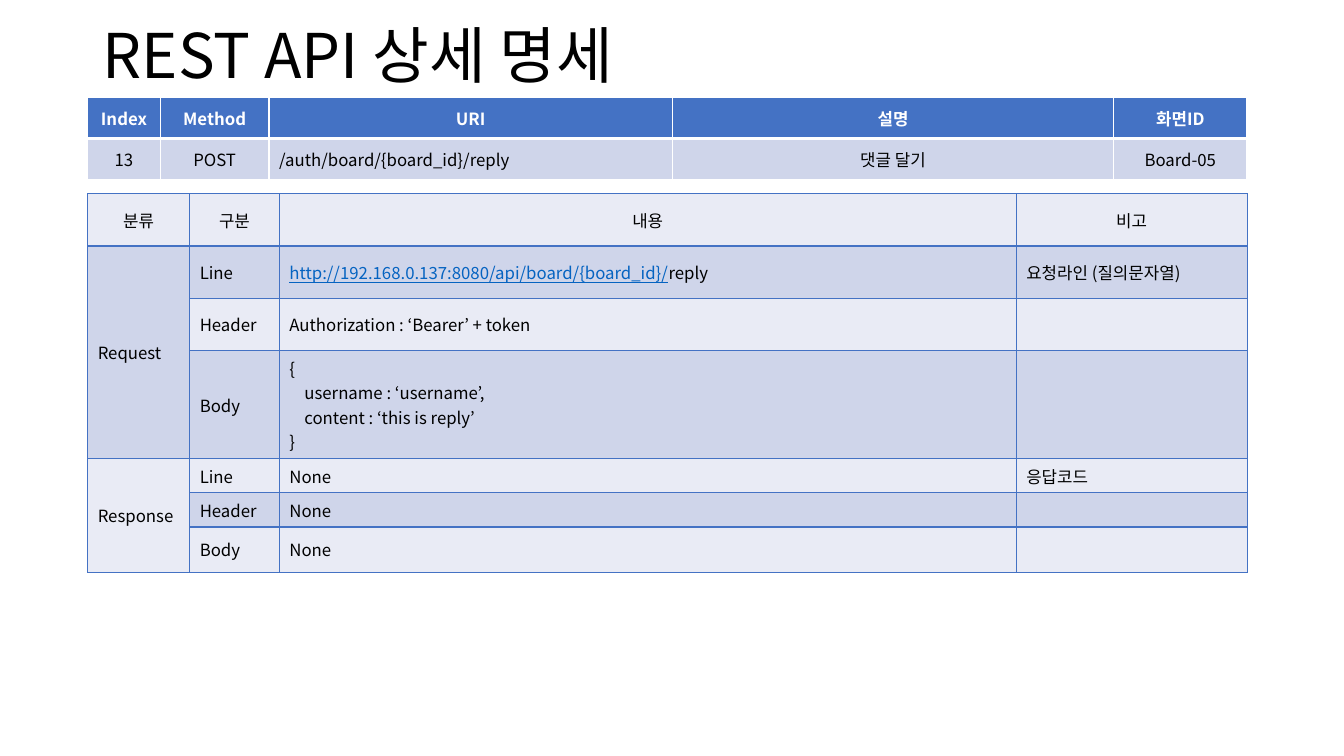
from lxml.etree import SubElement
from pptx import Presentation
from pptx.dml.color import RGBColor
from pptx.enum.text import MSO_ANCHOR, PP_ALIGN
from pptx.oxml.ns import qn
from pptx.util import Cm, Pt

FONT = "Noto Sans CJK KR"
BLACK, WHITE, BLUE, LINK = "000000", "FFFFFF", "4472C4", "0563C1"
DARK_BAND, LIGHT_BAND = "CFD5EA", "E9EBF5"

TITLE = "REST API 상세 명세"
SUMMARY = [
    ["Index", "Method", "URI", "설명", "화면ID"],
    ["13", "POST", "/auth/board/{board_id}/reply", "댓글 달기", "Board-05"],
]
SUMMARY_COLUMNS = [1.83, 2.74, 10.16, 11.13, 3.35]
SUMMARY_ROWS = [1.03, 1.03]

ADDRESS = "http://192.168.0.137:8080/api/board/{board_id}/"
BODY = """{
    username : ‘username’,
    content : ‘this is reply’
}"""
DETAIL = [
    ["분류", "구분", "내용", "비고"],
    ["Request", "Line", ADDRESS + "reply", "요청라인 (질의문자열)"],
    ["", "Header", "Authorization : ‘Bearer’ + token", ""],
    ["", "Body", BODY, ""],
    ["Response", "Line", "None", "응답코드"],
    ["", "Header", "None", ""],
    ["", "Body", "None", ""],
]
DETAIL_COLUMNS = [2.57, 2.26, 18.57, 5.82]
DETAIL_ROWS = [1.32, 1.32, 1.32, 2.72, 0.86, 0.86, 1.14]
DETAIL_GROUPS = [(1, 3), (4, 6)]


def color(value):
    return RGBColor.from_string(value)


def add_span(para, text, size, shade, bold=False, underline=False):
    span = para.add_run()
    span.text = text
    font = span.font
    font.size, font.bold, font.underline = Pt(size), bold, underline
    font.color.rgb = color(shade)
    font.name = FONT
    SubElement(font._element, qn("a:ea"), typeface=FONT)


def set_borders(cell, shade, widths):
    properties = cell._tc.get_or_add_tcPr()
    for side, width in zip("LRTB", widths):
        line = SubElement(properties, qn(f"a:ln{side}"), w=str(Pt(width)))
        SubElement(SubElement(line, qn("a:solidFill")), qn("a:srgbClr"), val=shade)


def write_cell(cell, text, shade, bold, align):
    cell.vertical_anchor = MSO_ANCHOR.MIDDLE
    for index, line in enumerate(text.split("\n")):
        frame = cell.text_frame
        para = frame.add_paragraph() if index else frame.paragraphs[0]
        para.alignment = align
        if line.startswith(ADDRESS):
            add_span(para, ADDRESS, 12, LINK, underline=True)
            line = line.removeprefix(ADDRESS)
        if line:
            add_span(para, line, 12, shade, bold)
        else:
            SubElement(para._p, qn("a:endParaRPr"), sz="1200")


def add_grid(page, top, content, columns, rows, style):
    table = page.shapes.add_table(
        len(rows), len(columns), Cm(2.21), Cm(top), Cm(sum(columns)), Cm(sum(rows))
    ).table
    table.first_row = table.horz_banding = False
    for column, width in zip(table.columns, columns):
        column.width = Cm(width)
    for row, height in zip(table.rows, rows):
        row.height = Cm(height)
    for r, texts in enumerate(content):
        for c, text in enumerate(texts):
            cell = table.cell(r, c)
            fill, shade, bold, align, border, widths = style(r, c)
            write_cell(cell, text, shade, bold, align)
            set_borders(cell, border, widths)
            cell.fill.solid()
            cell.fill.fore_color.rgb = color(fill)
    return table


def summary_style(row, column):
    if row == 0:
        return BLUE, WHITE, True, PP_ALIGN.CENTER, WHITE, (1, 1, 1, 3)
    align = PP_ALIGN.LEFT if column == 2 else PP_ALIGN.CENTER
    return DARK_BAND, BLACK, False, align, WHITE, (1, 1, 3, 1)


def detail_style(row, column):
    fill = DARK_BAND if row % 2 else LIGHT_BAND
    align = PP_ALIGN.LEFT if row else PP_ALIGN.CENTER
    return fill, BLACK, False, align, BLUE, (1, 1, 1, 1)


def main():
    deck = Presentation()
    deck.slide_width, deck.slide_height = Cm(33.87), Cm(19.05)
    page = deck.slides.add_slide(deck.slide_layouts[6])

    box = page.shapes.add_textbox(Cm(2.34), Cm(-0.36), Cm(29.21), Cm(3.68))
    box.text_frame.word_wrap = True
    box.text_frame.vertical_anchor = MSO_ANCHOR.MIDDLE
    para = box.text_frame.paragraphs[0]
    para.line_spacing = 0.9
    add_span(para, TITLE, 44, BLACK)

    add_grid(page, 2.46, SUMMARY, SUMMARY_COLUMNS, SUMMARY_ROWS, summary_style)
    detail = add_grid(page, 4.88, DETAIL, DETAIL_COLUMNS, DETAIL_ROWS, detail_style)
    for first, last in DETAIL_GROUPS:
        detail.cell(first, 0).merge(detail.cell(last, 0))

    deck.save("out.pptx")


if __name__ == "__main__":
    main()
